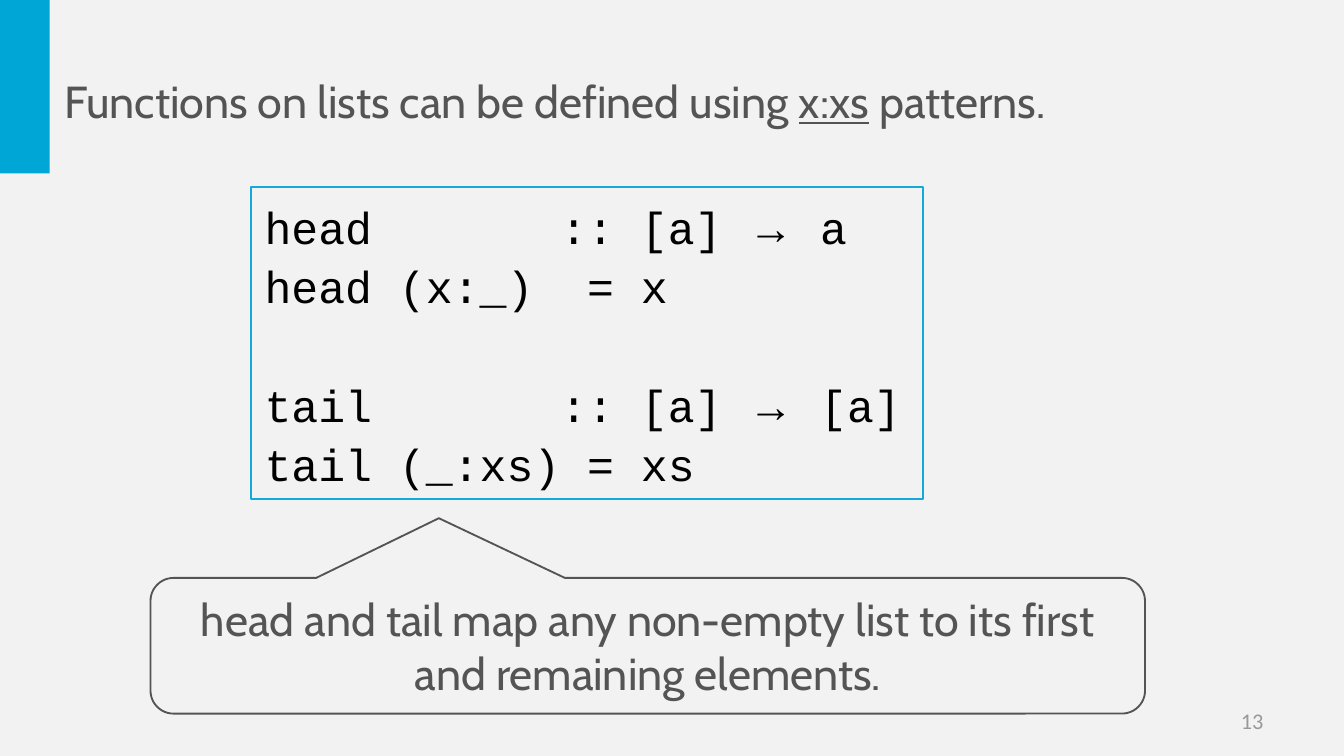
from dataclasses import dataclass

from pptx import Presentation
from pptx.dml.color import RGBColor as RGB
from pptx.enum.shapes import MSO_SHAPE as Shape
from pptx.enum.text import MSO_ANCHOR as Anchor, PP_ALIGN as Align
from pptx.util import Inches, Pt


@dataclass(frozen=True)
class Theme:
    back: str = "F2F2F2"
    bar: str = "00A6D6"
    edge: str = "15A8DB"
    text: str = "545454"
    code: str = "000000"
    muted: str = "999999"
    size: int = 24
    small: int = 12
    sans: str = "Cabin"
    mono: str = "Courier New"
    arrow: str = "Times New Roman"
    foot: str = "Calibri"


THEME = Theme()


def add_run(para, text, face, color, size=THEME.size):
    run = para.add_run()
    run.text = text
    run.font.name = face
    run.font.size = Pt(size)
    run.font.color.rgb = RGB.from_string(color)
    return run


def add_form(slide, kind, box, line=None, fill=None):
    form = slide.shapes.add_shape(kind, *map(Inches, box))
    form.shadow.inherit = False
    if fill:
        form.fill.solid()
        form.fill.fore_color.rgb = RGB.from_string(fill)
    else:
        form.fill.background()
    if line:
        form.line.color.rgb = RGB.from_string(line)
        form.line.width = Pt(1)
    else:
        form.line.fill.background()
    form.text_frame.vertical_anchor = Anchor.MIDDLE
    return form


def add_title(slide, box, parts):
    title = slide.shapes.title
    title.left, title.top, title.width, title.height = map(Inches, box)
    frame = title.text_frame
    frame.word_wrap = True
    frame.vertical_anchor = Anchor.MIDDLE
    para = frame.paragraphs[0]
    para.alignment = Align.LEFT
    for text, under in parts:
        add_run(para, text, THEME.sans, THEME.text).font.underline = under


def add_code(slide, box, blocks):
    frame = add_form(slide, Shape.RECTANGLE, box, line=THEME.edge).text_frame
    frame.word_wrap = False
    for i, block in enumerate(blocks):
        for j, line in enumerate(block):
            para = frame.add_paragraph() if i or j else frame.paragraphs[0]
            para.alignment = Align.LEFT
            para.line_spacing = 1.1
            if i and not j:
                para.space_before = Pt(32)
            for k, part in enumerate(line.partition("→")):
                if part:
                    face = THEME.arrow if k == 1 else THEME.mono
                    add_run(para, part, face, THEME.code)


def add_note(slide, box, text):
    note = add_form(slide, Shape.ROUNDED_RECTANGULAR_CALLOUT, box, line=THEME.text)
    for i, value in enumerate((-0.21, -0.94, 0.17)):
        note.adjustments[i] = value
    note.text_frame.word_wrap = True
    para = note.text_frame.paragraphs[0]
    para.alignment = Align.CENTER
    add_run(para, text, THEME.sans, THEME.text)


def add_number(slide, box, text):
    frame = slide.shapes.add_textbox(*map(Inches, box)).text_frame
    frame.word_wrap = True
    frame.vertical_anchor = Anchor.MIDDLE
    para = frame.paragraphs[0]
    para.alignment = Align.RIGHT
    add_run(para, text, THEME.foot, THEME.muted, THEME.small)


def main():
    deck = Presentation()
    deck.slide_width = Inches(10)
    deck.slide_height = deck.slide_width * 9 // 16
    slide = deck.slides.add_slide(deck.slide_layouts[5])
    slide.background.fill.solid()
    slide.background.fill.fore_color.rgb = RGB.from_string(THEME.back)

    add_form(slide, Shape.RECTANGLE, (0, 0, 0.37, 1.29), fill=THEME.bar)
    add_number(slide, (7.17, 5.21, 2.33, 0.3), "13")
    add_title(slide, (0.38, 0.5, 9.39, 0.5), (
        ("Functions on lists can be defined using ", False),
        ("x:xs", True),
        (" patterns.", False),
    ))
    add_code(slide, (1.87, 1.39, 5, 2.32), (
        ("head       :: [a] → a", "head (x:_)  = x"),
        ("tail       :: [a] → [a]", "tail (_:xs) = xs"),
    ))
    add_note(slide, (1.12, 4.3, 7.4, 1.01),
             "head and tail map any non-empty list to its first and remaining elements.")
    deck.save("out.pptx")


if __name__ == "__main__":
    main()
